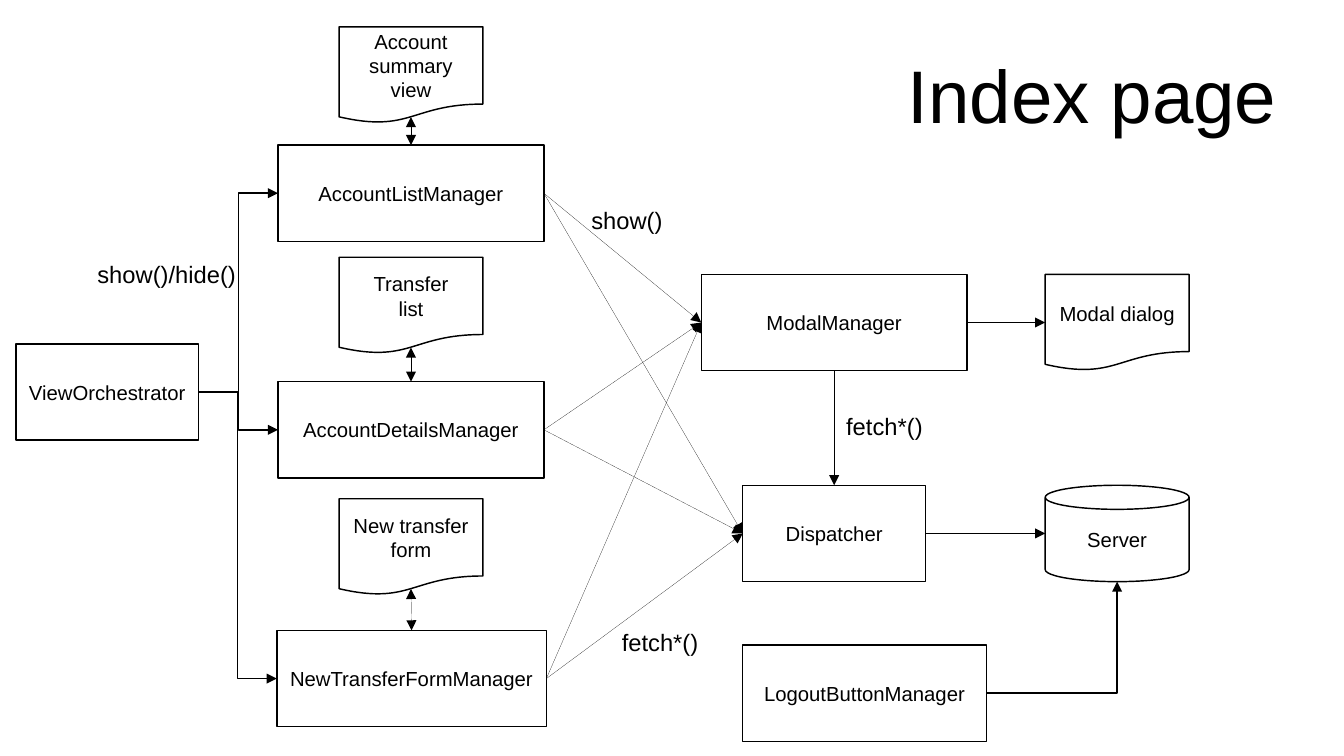
from dataclasses import dataclass

from lxml import etree
from pptx import Presentation
from pptx.dml.color import RGBColor
from pptx.enum import shapes, text
from pptx.oxml import ns
from pptx.util import Inches, Pt

BLACK = RGBColor(0x00, 0x00, 0x00)
WHITE = RGBColor(0xFF, 0xFF, 0xFF)
FONT = "Arial"
HEIGHT = 0.79
VIEW_WIDTH = 1.18
THICK, HAIRLINE = 0.85, 0
TOP, LEFT, BOTTOM, RIGHT = range(4)
CAN_BOTTOM = 3

PROCESS = shapes.MSO_SHAPE.FLOWCHART_PROCESS
DOCUMENT = shapes.MSO_SHAPE.FLOWCHART_DOCUMENT
CAN = shapes.MSO_SHAPE.CAN


@dataclass(frozen=True)
class Node:
    caption: str
    left: float
    top: float
    width: float
    kind: shapes.MSO_SHAPE = PROCESS

    def side(self, site: int) -> tuple[float, float]:
        """Middle of one side, in inches."""
        middle_x, middle_y = self.left + self.width / 2, self.top + HEIGHT / 2
        return {
            TOP: (middle_x, self.top),
            LEFT: (self.left, middle_y),
            BOTTOM: (middle_x, self.top + HEIGHT),
            RIGHT: (self.left + self.width, middle_y),
        }[site]


@dataclass(frozen=True)
class Link:
    source: Node
    source_side: int
    target: Node
    target_side: int
    bent: bool = False
    two_way: bool = False


@dataclass(frozen=True)
class Label:
    caption: str
    left: float
    top: float


ORCHESTRATOR = Node("ViewOrchestrator", 0.13, 2.82, 1.5)
MODAL = Node("ModalManager", 5.75, 2.25, 2.18)
ACCOUNT_LIST = Node("AccountListManager", 2.28, 1.19, 2.18)
ACCOUNT_DETAILS = Node("AccountDetailsManager", 2.28, 3.13, 2.18)
NEW_TRANSFER = Node("NewTransferFormManager", 2.27, 5.17, 2.21)
DISPATCHER = Node("Dispatcher", 6.09, 3.98, 1.5)
LOGOUT = Node("LogoutButtonManager", 6.09, 5.29, 2)
SUMMARY_VIEW = Node("Account\nsummary\nview", 2.78, 0.22, VIEW_WIDTH, DOCUMENT)
TRANSFER_LIST = Node("Transfer\nlist", 2.78, 2.11, VIEW_WIDTH, DOCUMENT)
TRANSFER_FORM = Node("New transfer\nform", 2.78, 4.09, VIEW_WIDTH, DOCUMENT)
MODAL_DIALOG = Node("Modal dialog", 8.57, 2.25, VIEW_WIDTH, DOCUMENT)
SERVER = Node("Server", 8.57, 3.98, VIEW_WIDTH, CAN)

VIEWS = {
    ACCOUNT_LIST: SUMMARY_VIEW,
    ACCOUNT_DETAILS: TRANSFER_LIST,
    NEW_TRANSFER: TRANSFER_FORM,
}
NODES = [ORCHESTRATOR, MODAL, *VIEWS, DISPATCHER, *VIEWS.values(),
         MODAL_DIALOG, SERVER, LOGOUT]
LINKS = [
    *(Link(manager, RIGHT, service, LEFT)
      for service in (MODAL, DISPATCHER) for manager in VIEWS),
    Link(MODAL, RIGHT, MODAL_DIALOG, LEFT),
    Link(DISPATCHER, RIGHT, SERVER, LEFT),
    Link(MODAL, BOTTOM, DISPATCHER, TOP),
    *(Link(manager, TOP, view, BOTTOM, two_way=True)
      for manager, view in VIEWS.items()),
    *(Link(ORCHESTRATOR, RIGHT, manager, LEFT, bent=True) for manager in VIEWS),
    Link(LOGOUT, RIGHT, SERVER, BOTTOM, bent=True),
]
LABELS = [
    Label("show()/hide()", 0.7, 2.08),
    Label("show()", 4.75, 1.64),
    Label("fetch*()", 5, 5.1),
    Label("fetch*()", 6.84, 3.33),
]


def write(frame, content: str, *, size: float, align=text.PP_ALIGN.LEFT,
          anchor=text.MSO_ANCHOR.TOP, wrap: bool = True, grow: bool = False,
          inset_x: float = 0.1, inset_y: float = 0.05) -> None:
    frame.text = content
    frame.word_wrap = wrap
    frame.vertical_anchor = anchor
    if grow:
        frame.auto_size = text.MSO_AUTO_SIZE.SHAPE_TO_FIT_TEXT
    frame.margin_left = frame.margin_right = Inches(inset_x)
    frame.margin_top = frame.margin_bottom = Inches(inset_y)
    for paragraph in frame.paragraphs:
        paragraph.alignment = align
        for run in paragraph.runs:
            run.font.name = FONT
            run.font.size = Pt(size)
            run.font.color.rgb = BLACK


def add_node(slide, node: Node):
    shape = slide.shapes.add_shape(node.kind, Inches(node.left), Inches(node.top),
                                   Inches(node.width), Inches(HEIGHT))
    shape.shadow.inherit = False
    shape.fill.solid()
    shape.fill.fore_color.rgb = WHITE
    shape.line.color.rgb = BLACK
    shape.line.width = Pt(THICK)
    write(shape.text_frame, node.caption, size=12, align=text.PP_ALIGN.CENTER,
          anchor=text.MSO_ANCHOR.MIDDLE, wrap=False)
    return shape


def style_arrow(connector, width: float, two_way: bool) -> None:
    connector.line.color.rgb = BLACK
    line = connector.line._get_or_add_ln()
    line.set("w", str(int(Pt(width))))
    for end in ("a:headEnd", "a:tailEnd") if two_way else ("a:tailEnd",):
        etree.SubElement(line, ns.qn(end), type="triangle")
    etree.SubElement(connector._element.spPr, ns.qn("a:effectLst"))


def add_link(slide, link: Link, drawn: dict) -> None:
    start_x, start_y = link.source.side(link.source_side)
    end_x, end_y = link.target.side(link.target_side)
    if link.target.kind == DOCUMENT and link.target_side == BOTTOM:
        end_y -= 0.05  # the wavy edge lies above the bottom of the frame
    kind = shapes.MSO_CONNECTOR.ELBOW if link.bent else shapes.MSO_CONNECTOR.STRAIGHT
    connector = slide.shapes.add_connector(
        kind, Inches(start_x), Inches(start_y), Inches(end_x), Inches(end_y))
    style_arrow(connector, THICK if link.bent else HAIRLINE, link.two_way)
    connector.begin_connect(drawn[link.source], link.source_side)
    if link.target.kind == PROCESS:
        connector.end_connect(drawn[link.target], link.target_side)
    elif link.bent:
        connector.end_connect(drawn[link.target], CAN_BOTTOM)
        connector.end_x, connector.end_y = Inches(end_x), Inches(end_y)
        geometry = connector._element.spPr.find(ns.qn("a:prstGeom"))
        geometry.set("prst", "bentConnector2")


def add_label(slide, label: Label) -> None:
    box = slide.shapes.add_textbox(Inches(label.left), Inches(label.top),
                                   Inches(1.5), Inches(0.32))
    write(box.text_frame, label.caption, size=14, grow=True)


def main() -> None:
    deck = Presentation()
    deck.slide_width, deck.slide_height = Inches(11.02), Inches(6.2)
    slide = deck.slides.add_slide(deck.slide_layouts.get_by_name("Title Only"))

    title = slide.shapes.title
    title.left, title.top = Inches(0.55), Inches(0.25)
    title.width, title.height = Inches(9.92), Inches(1.04)
    write(title.text_frame, "Index page", size=44, align=text.PP_ALIGN.RIGHT,
          anchor=text.MSO_ANCHOR.MIDDLE, grow=True, inset_x=0, inset_y=0)

    drawn = {node: add_node(slide, node) for node in NODES}
    for link in LINKS:
        add_link(slide, link, drawn)
    for label in LABELS:
        add_label(slide, label)
    deck.save("out.pptx")


if __name__ == "__main__":
    main()
